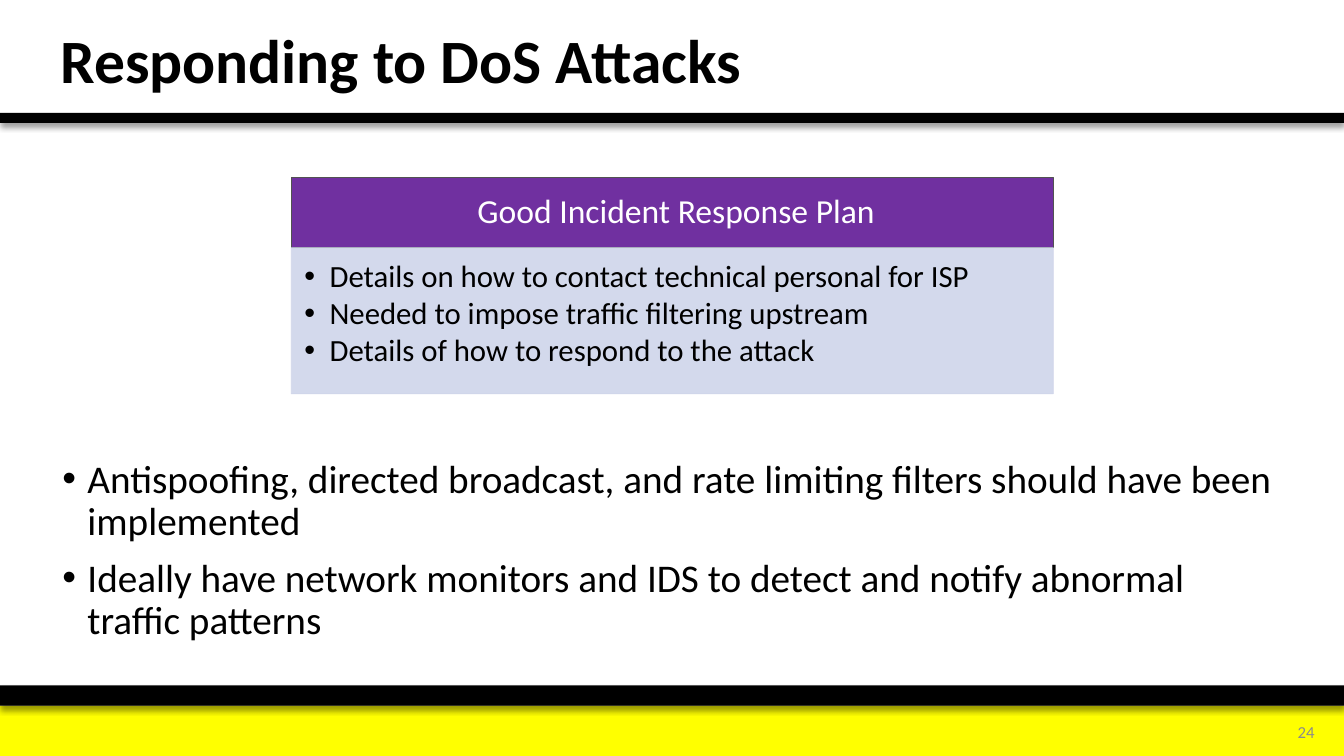
from dataclasses import dataclass

from lxml import etree
from pptx import Presentation
from pptx.dml.color import RGBColor
from pptx.enum import shapes, text
from pptx.oxml import ns
from pptx.util import Pt


@dataclass(frozen=True)
class Theme:
    """Hold the colours, font and type sizes of the slide."""
    font: str = "Calibri"
    black: str = "000000"
    white: str = "FFFFFF"
    yellow: str = "FFFF00"
    purple: str = "7030A0"
    pale: str = "CFD5EA"
    edge: str = "525252"
    grey: str = "8C8C8C"
    title: int = 44
    body: int = 28
    head: int = 24
    item: int = 22
    note: int = 12


THEME = Theme()
LEFT, MID, RIGHT = text.PP_ALIGN.LEFT, text.PP_ALIGN.CENTER, text.PP_ALIGN.RIGHT
TOP, CENTER = text.MSO_ANCHOR.TOP, text.MSO_ANCHOR.MIDDLE
WIDE, HIGH = 960, 540
CARD, SPAN = 208.1, 544.3


def apply(item, values):
    """Set each named value on an object."""
    for name, value in values.items():
        setattr(item, name, value)


def child(node, tag, **attrs):
    """Add a drawing element with attributes to a node."""
    return etree.SubElement(node, ns.qn(tag), attrs)


def place(shape, box):
    """Move and size a shape in points."""
    names = ("left", "top", "width", "height")
    apply(shape, dict(zip(names, map(Pt, box))))


def write(shape, lines, size, color, bold=False, anchor=TOP,
          pad=(7.2, 3.6, 7.2, 3.6), bullet=False, **form):
    """Fill a shape with formatted paragraphs."""
    frame = shape.text_frame
    names = ("margin_left", "margin_top", "margin_right", "margin_bottom")
    apply(frame, dict(zip(names, map(Pt, pad))))
    apply(frame, {"text": "\n".join(lines), "word_wrap": True,
                  "auto_size": text.MSO_AUTO_SIZE.NONE,
                  "vertical_anchor": anchor})
    for para in frame.paragraphs:
        apply(para, {"alignment": LEFT, **form})
        font = para.runs[0].font
        apply(font, {"name": THEME.font, "size": Pt(size), "bold": bold})
        font.color.rgb = RGBColor.from_string(color)
        if bullet:
            props = para._p.get_or_add_pPr()
            apply_indent = {"marL": str(Pt(18)), "indent": str(Pt(-18))}
            props.attrib.update(apply_indent)
            child(props, "a:buFont", typeface="Arial")
            child(props, "a:buChar", char="•")


def panel(slide, box, fill, edge=None, alpha=None):
    """Add a flat rectangle and return it."""
    shape = slide.shapes.add_shape(
        shapes.MSO_SHAPE.RECTANGLE, *map(Pt, box))
    shape.shadow.inherit = False
    shape.fill.solid()
    shape.fill.fore_color.rgb = RGBColor.from_string(fill)
    if edge:
        shape.line.color.rgb = RGBColor.from_string(edge)
        shape.line.width = Pt(0.5)
    else:
        shape.line.fill.background()
    if alpha:
        for color in list(shape._element.spPr.iter(ns.qn("a:srgbClr"))):
            child(color, "a:alpha", val=str(alpha * 1000))
    return shape


def rule(slide, top, high):
    """Add a full-width black bar with a soft shadow below."""
    bar = panel(slide, (0, top, WIDE, high), THEME.black)
    effects = bar._element.spPr.find(ns.qn("a:effectLst"))
    shade = child(effects, "a:outerShdw", blurRad=str(Pt(4)),
                  dist=str(Pt(3)), dir="5400000", algn="t", rotWithShape="0")
    color = child(shade, "a:srgbClr", val=THEME.black)
    child(color, "a:alpha", val="40000")


def label(slide, box, lines, size, color, **form):
    """Add a text box."""
    note = slide.shapes.add_textbox(*map(Pt, box))
    write(note, lines, size, color, **form)


def card(slide, head, items):
    """Add a headed card with a bulleted list."""
    top = panel(slide, (CARD, 126.7, SPAN, 50), THEME.purple, THEME.edge)
    write(top, [head], THEME.head, THEME.white, anchor=CENTER,
          pad=(13.7, 7.9, 13.7, 7.9), alignment=MID, line_spacing=0.9)
    base = panel(slide, (CARD, 176.9, SPAN, 104.4), THEME.pale,
                 THEME.pale, 90)
    write(base, items, THEME.item, THEME.black, pad=(9.4, 9.4, 12.2, 13.7),
          bullet=True, line_spacing=0.9, space_after=Pt(2.6))


def main():
    """Build the slide and save it."""
    deck = Presentation()
    apply(deck, {"slide_width": Pt(WIDE), "slide_height": Pt(HIGH)})
    slide = deck.slides.add_slide(deck.slide_layouts[5])
    panel(slide, (0, 504, WIDE, 36), THEME.yellow)
    rule(slide, 489.6, 14.4)
    rule(slide, 80.6, 7.2)
    title = slide.shapes.title
    place(title, (36, 5, 695.5, 80.6))
    write(title, ["Responding to DoS Attacks"], THEME.title, THEME.black,
          bold=True, anchor=CENTER, line_spacing=0.9)
    card(slide, " Good Incident Response Plan", [
        "Details on how to contact technical personal for ISP",
        "Needed to impose traffic filtering upstream",
        "Details of how to respond to the attack"])
    label(slide, (37.4, 324.7, 884.9, 146.2), [
        "Antispoofing, directed broadcast, and rate limiting filters "
        "should have been implemented",
        "Ideally have network monitors and IDS to detect and notify "
        "abnormal traffic patterns"], THEME.body, THEME.black,
        bullet=True, line_spacing=0.9, space_before=Pt(10))
    label(slide, (891.4, 508.3, 54.7, 28.8), ["24"], THEME.note, THEME.grey,
          anchor=CENTER, alignment=RIGHT)
    deck.save("out.pptx")


if __name__ == "__main__":
    main()
